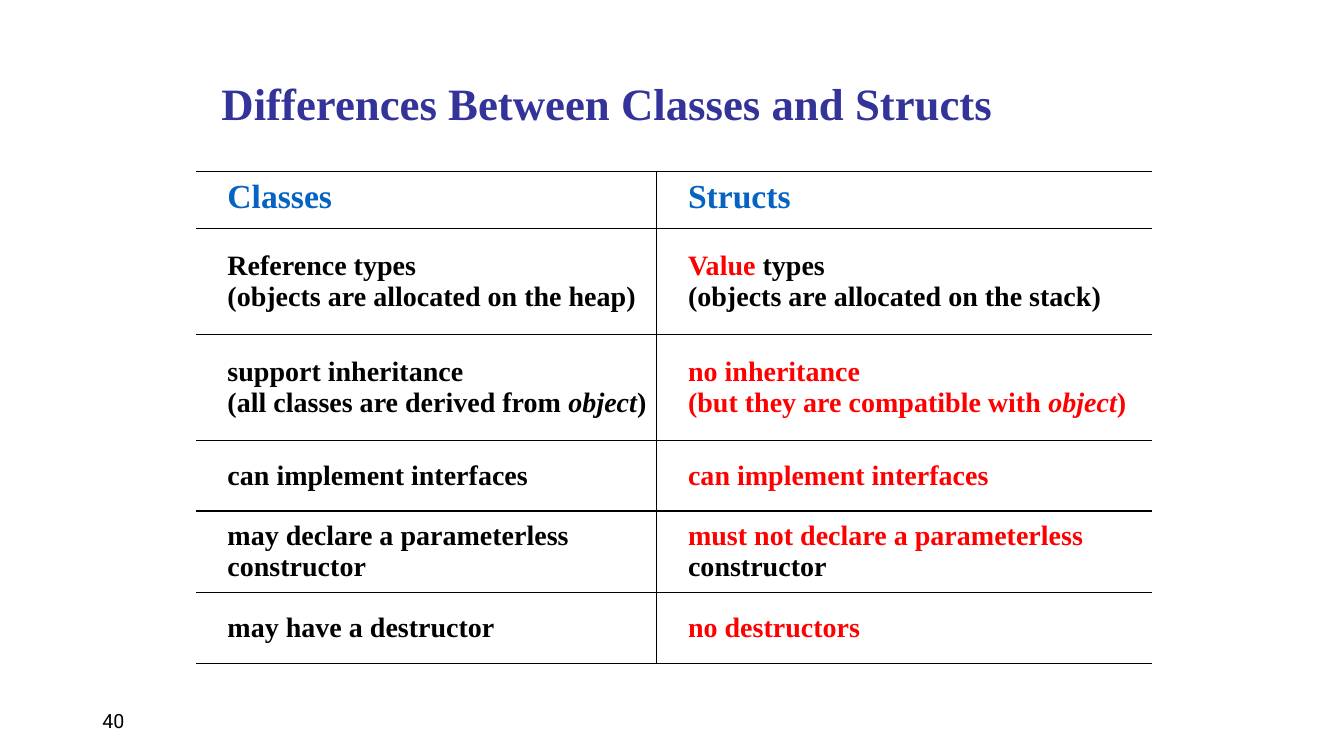
from dataclasses import dataclass

from lxml.etree import SubElement
from pptx import Presentation
from pptx.dml.color import RGBColor as RGB
from pptx.enum.text import MSO_ANCHOR as ANCHOR, PP_ALIGN as ALIGN
from pptx.oxml.ns import qn
from pptx.util import Pt


@dataclass(frozen=True)
class Theme:
    """Colours, fonts and type sizes of the slide."""
    title: RGB = RGB(0x33, 0x33, 0x99)
    header: RGB = RGB(0x05, 0x63, 0xC1)
    black: RGB = RGB(0, 0, 0)
    red: RGB = RGB(0xFF, 0, 0)
    serif: str = "Times New Roman"
    sans: str = "Roboto"
    title_size: int = 32
    header_size: int = 24
    body_size: int = 20
    number_size: int = 14
    rule: float = 1
    edge_rule: float = 1.5


T = Theme()
COLUMN_WIDTHS = [329, 354]
ROW_HEIGHTS = [41, 75.5, 75.5, 50.5, 58, 51]
HEADERS = ["Classes", "Structs"]
ROWS = [
    ([[("Reference types", T.black)],
      [("(objects are allocated on the heap)", T.black)]],
     [[("Value", T.red), (" types", T.black)],
      [("(objects are allocated on the stack)", T.black)]]),
    ([[("support inheritance", T.black)],
      [("(all classes are derived from ", T.black), ("object", T.black, True), (")", T.black)]],
     [[("no inheritance", T.red)],
      [("(but they are compatible with ", T.red), ("object", T.red, True), (")", T.red)]]),
    ([[("can implement interfaces", T.black)]],
     [[("can implement interfaces", T.red)]]),
    ([[("may declare a parameterless constructor", T.black)]],
     [[("must not declare a parameterless ", T.red), ("constructor", T.black)]]),
    ([[("may have a destructor", T.black)]],
     [[("no destructors", T.red)]]),
]


def style_font(font, name, size, color, bold=False, italic=False):
    """Set the look of a font."""
    font.name, font.size, font.bold, font.italic = name, Pt(size), bold, italic
    font.color.rgb = color


def write_paragraphs(tf, paragraphs, size):
    """Write paragraphs of (text, colour, italic) runs in bold serif type."""
    for i, runs in enumerate(paragraphs):
        p = tf.add_paragraph() if i else tf.paragraphs[0]
        for text, color, *italic in runs:
            r = p.add_run()
            r.text = text
            style_font(r.font, T.serif, size, color, True, bool(italic))


def set_borders(cell, widths):
    """Draw black cell borders, or none where the width is zero."""
    tc_pr = cell._tc.get_or_add_tcPr()
    for side, width in zip("LRTB", widths):
        ln = SubElement(tc_pr, qn(f"a:ln{side}"), w=str(Pt(width)))
        if width:
            fill = SubElement(ln, qn("a:solidFill"))
            SubElement(fill, qn("a:srgbClr"), val=str(T.black))
        else:
            SubElement(ln, qn("a:noFill"))


def add_title(slide, left, top, width, height):
    """Place and format the title placeholder."""
    sp = slide.shapes.title
    sp.left, sp.top, sp.width, sp.height = Pt(left), Pt(top), Pt(width), Pt(height)
    tf = sp.text_frame
    tf.text = "Differences Between Classes and Structs"
    tf.vertical_anchor = ANCHOR.MIDDLE
    p = tf.paragraphs[0]
    p.alignment = ALIGN.LEFT
    style_font(p.runs[0].font, T.serif, T.title_size, T.title, True)


def add_comparison(slide, left, top):
    """Add the table comparing classes with structs."""
    table = slide.shapes.add_table(
        len(ROW_HEIGHTS), len(COLUMN_WIDTHS), Pt(left), Pt(top),
        Pt(sum(COLUMN_WIDTHS)), Pt(sum(ROW_HEIGHTS))).table
    table.first_row = table.horz_banding = False
    for column, width in zip(table.columns, COLUMN_WIDTHS):
        column.width = Pt(width)
    for row, height in zip(table.rows, ROW_HEIGHTS):
        row.height = Pt(height)
    header = [[[(text, T.header)]] for text in HEADERS]
    last = len(ROWS)
    for i, row in enumerate([header, *ROWS]):
        for j, paragraphs in enumerate(row):
            cell = table.cell(i, j)
            set_borders(cell, (T.rule if j else 0, 0 if j else T.rule,
                               T.rule if i else T.edge_rule,
                               T.edge_rule if i == last else T.rule))
            cell.fill.background()
            cell.vertical_anchor = ANCHOR.MIDDLE
            cell.margin_left, cell.margin_right = Pt(22.5), Pt(7.2)
            cell.margin_top = cell.margin_bottom = Pt(3.6)
            write_paragraphs(cell.text_frame, paragraphs, T.body_size if i else T.header_size)
            if i == 0:
                cell.text_frame.paragraphs[0].line_spacing = 0.7


def add_page_number(slide, left, top, width, height):
    """Add the page number."""
    tf = slide.shapes.add_textbox(Pt(left), Pt(top), Pt(width), Pt(height)).text_frame
    tf.word_wrap = True
    tf.vertical_anchor = ANCHOR.MIDDLE
    tf.text = "40"
    style_font(tf.paragraphs[0].runs[0].font, T.sans, T.number_size, T.black)


def main():
    """Build and save the slide."""
    prs = Presentation()
    prs.slide_width, prs.slide_height = Pt(960), Pt(540)
    slide = prs.slides.add_slide(prs.slide_layouts[5])
    add_title(slide, 151, 46, 641, 54)
    add_comparison(slide, 140, 122.5)
    add_page_number(slide, 66, 500.5, 216, 29)
    prs.save("out.pptx")


if __name__ == "__main__":
    main()
